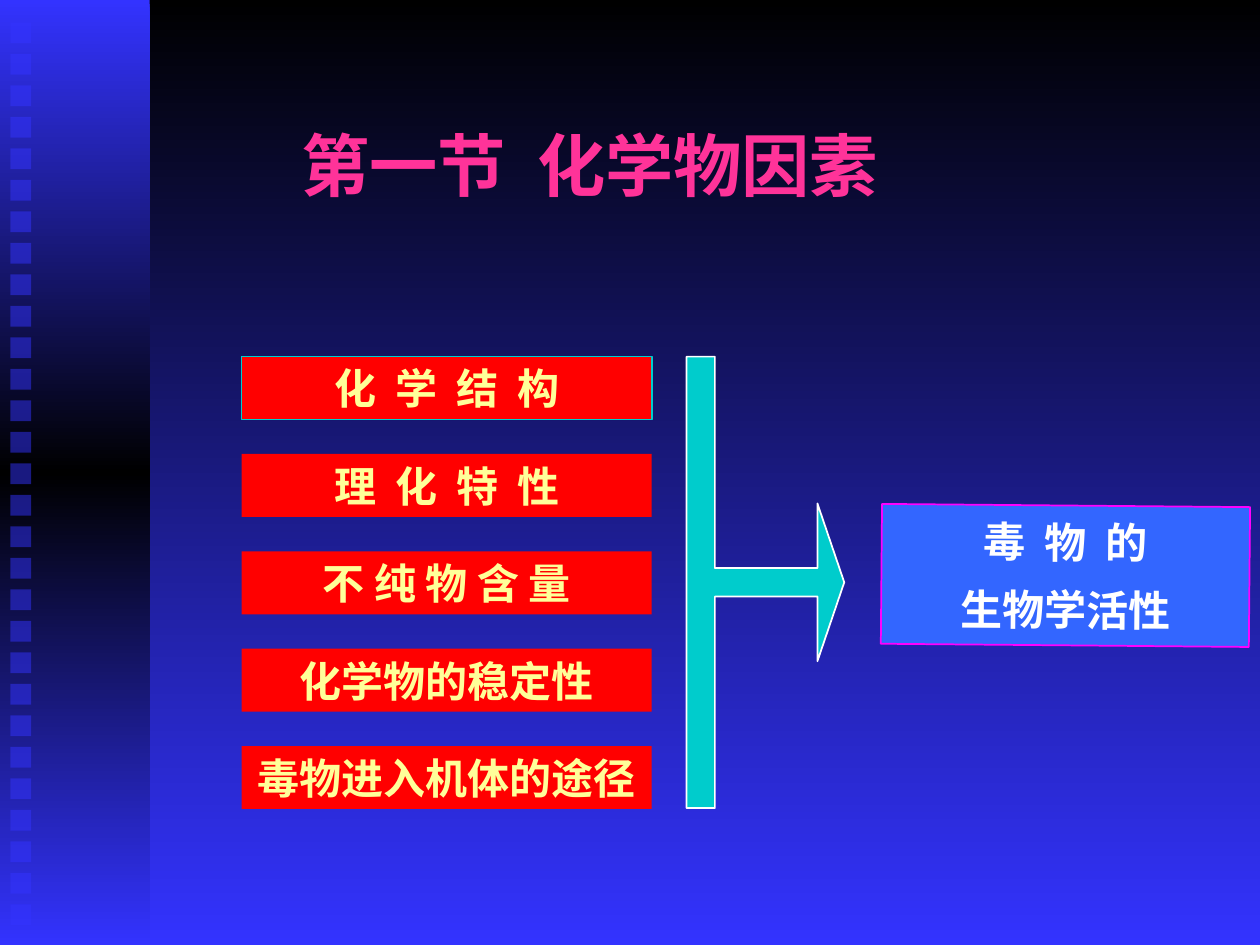
from lxml import etree
from pptx import Presentation
from pptx.dml.color import RGBColor
from pptx.enum import shapes, text
from pptx.oxml.ns import qn
from pptx.util import Cm, Pt

BLUE = RGBColor(0x33, 0x33, 0xFF)
BLACK = RGBColor(0, 0, 0)
PINK = RGBColor(0xFF, 0x33, 0x99)
RED = RGBColor(0xFF, 0, 0)
TEAL = RGBColor(0, 0xCC, 0xCC)
YELLOW = RGBColor(0xFF, 0xFF, 0x99)
SKY = RGBColor(0x33, 0x66, 0xFF)
MAGENTA = RGBColor(0xFF, 0, 0xFF)
WHITE = RGBColor(0xFF, 0xFF, 0xFF)
CJK = "Noto Sans CJK SC"
LATIN = "Times New Roman"

FACTORS = ["化  学  结  构", "理  化  特  性", "不 纯 物 含 量",
           "化学物的稳定性", "毒物进入机体的途径"]


def gradient(fill, element, colors):
    """Fill from top to bottom with evenly spaced colours."""
    fill.gradient()
    fill.gradient_angle = 270
    stops = next(element.iter(qn("a:gsLst")))
    for stop in list(stops):
        stops.remove(stop)
    for i, color in enumerate(colors):
        gs = etree.SubElement(stops, qn("a:gs"),
                              pos=str(100000 * i // (len(colors) - 1)))
        etree.SubElement(gs, qn("a:srgbClr"), val=str(color))


def add_box(parent, kind, x, y, w, h, fill=None, line=None):
    sp = parent.add_shape(kind, Cm(x), Cm(y), Cm(w), Cm(h))
    sp.shadow.inherit = False
    if fill is not None:
        sp.fill.solid()
        sp.fill.fore_color.rgb = fill
    if line is None:
        sp.line.fill.background()
    else:
        sp.line.color.rgb = line
        sp.line.width = Pt(1)
    return sp


def write(sp, lines, size=24, color=WHITE, font=CJK, gap=0):
    tf = sp.text_frame
    tf.word_wrap = True
    tf.auto_size = text.MSO_AUTO_SIZE.NONE
    tf.vertical_anchor = text.MSO_ANCHOR.MIDDLE
    for i, line in enumerate(lines):
        p = tf.add_paragraph() if i else tf.paragraphs[0]
        p.alignment = text.PP_ALIGN.CENTER
        p.space_before = Pt(gap if i else 0)
        r = p.add_run()
        r.text = line
        r.font.size = Pt(size)
        r.font.bold = True
        r.font.color.rgb = color
        r.font.name = font
        etree.SubElement(r.font._element, qn("a:ea"), typeface=CJK)


def add_side_band(slide, x, y, w, h):
    group = slide.shapes.add_group_shape().shapes
    band = add_box(group, shapes.MSO_SHAPE.RECTANGLE, x, y, w, h)
    gradient(band.fill, band._element, [BLUE, BLACK, BLUE])
    # Column of half-transparent squares
    for i in range(29):
        square = add_box(group, shapes.MSO_SHAPE.RECTANGLE, x + 0.21,
                         y + 0.45 + i * 0.635, 0.42, 0.42, BLUE)
        color = next(square._element.spPr.iter(qn("a:srgbClr")))
        etree.SubElement(color, qn("a:alpha"), val="50000")


def add_title(slide, x, y, w, h):
    title = slide.shapes.title
    title.left, title.top, title.width, title.height = Cm(x), Cm(y), Cm(w), Cm(h)
    write(title, ["第一节  化学物因素"], size=39, color=PINK)


def add_factors(slide, x, y, w, h):
    box_h = 1.27
    step = (h - box_h) / (len(FACTORS) - 1)
    for i, factor in enumerate(FACTORS):
        sp = add_box(slide.shapes, shapes.MSO_SHAPE.RECTANGLE, x, y + i * step,
                     w, box_h, RED, None if i else TEAL)
        last = i == len(FACTORS) - 1
        write(sp, [factor], color=YELLOW, font=LATIN if last else CJK)


def add_arrow(slide, x, y, w, h):
    sp = add_box(slide.shapes, shapes.MSO_SHAPE.RIGHT_ARROW_CALLOUT,
                 x, y, w, h, TEAL, WHITE)
    for i, value in enumerate([0.18, 0.5, 0.17, 0.18]):
        sp.adjustments[i] = value


def add_result(slide, x, y, w, h):
    sp = add_box(slide.shapes, shapes.MSO_SHAPE.RECTANGLE,
                 x, y, w, h, SKY, MAGENTA)
    sp.rotation = 0.5
    write(sp, ["毒  物  的", "生物学活性"], gap=10)


def main():
    prs = Presentation()
    prs.slide_width, prs.slide_height = Cm(25.4), Cm(19.05)
    slide = prs.slides.add_slide(prs.slide_layouts[5])

    # Backdrop
    gradient(slide.background.fill, slide._element, [BLACK, BLUE])
    add_side_band(slide, 0, 0, 3.02, 19.05)

    # Factors on the left lead to the activity on the right
    add_title(slide, 2.29, 2.11, 19.2, 2.41)
    add_factors(slide, 4.87, 7.19, 8.27, 9.12)
    add_arrow(slide, 13.84, 7.19, 3.18, 9.1)
    add_result(slide, 17.77, 10.19, 7.42, 2.82)

    prs.save("out.pptx")


if __name__ == "__main__":
    main()
